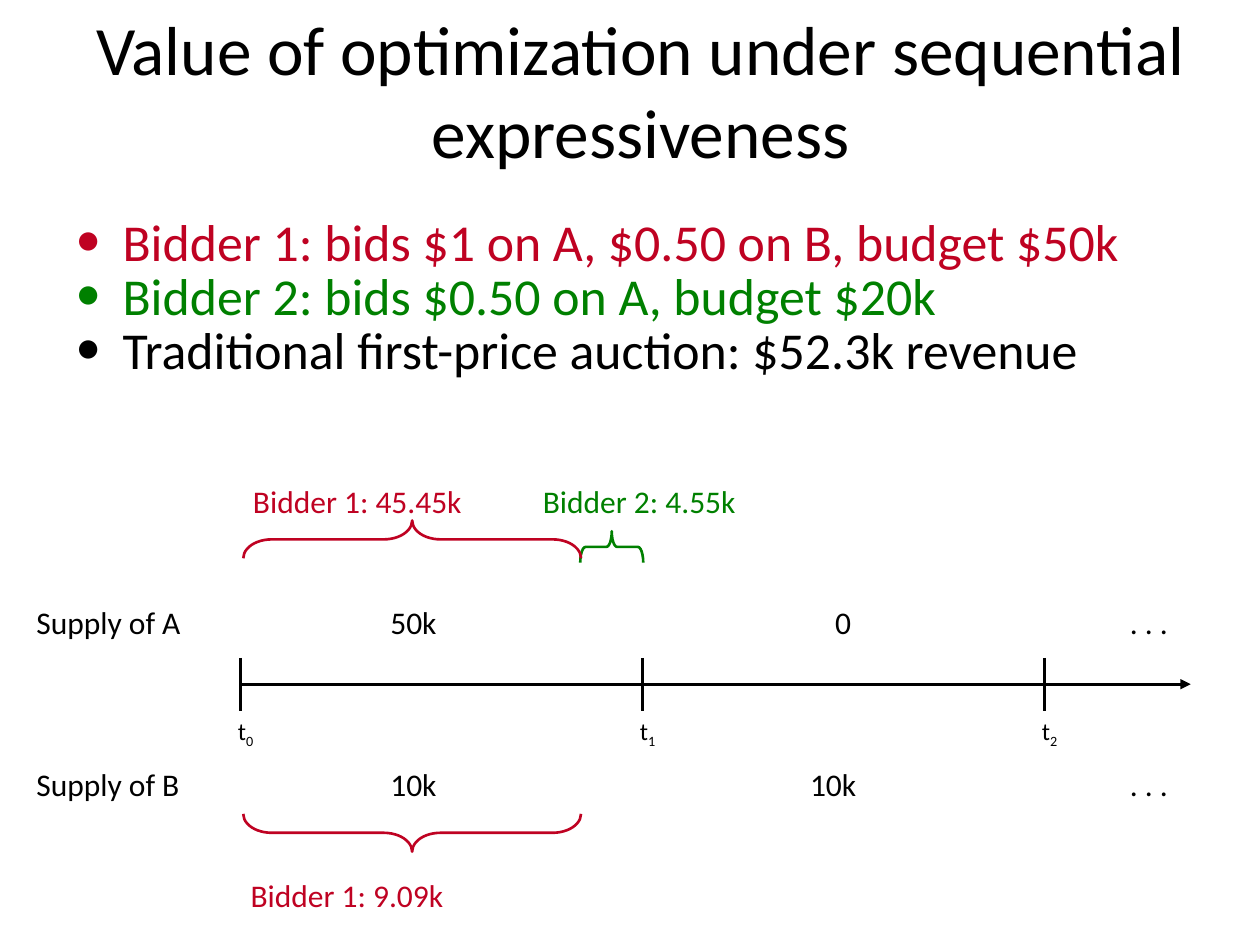
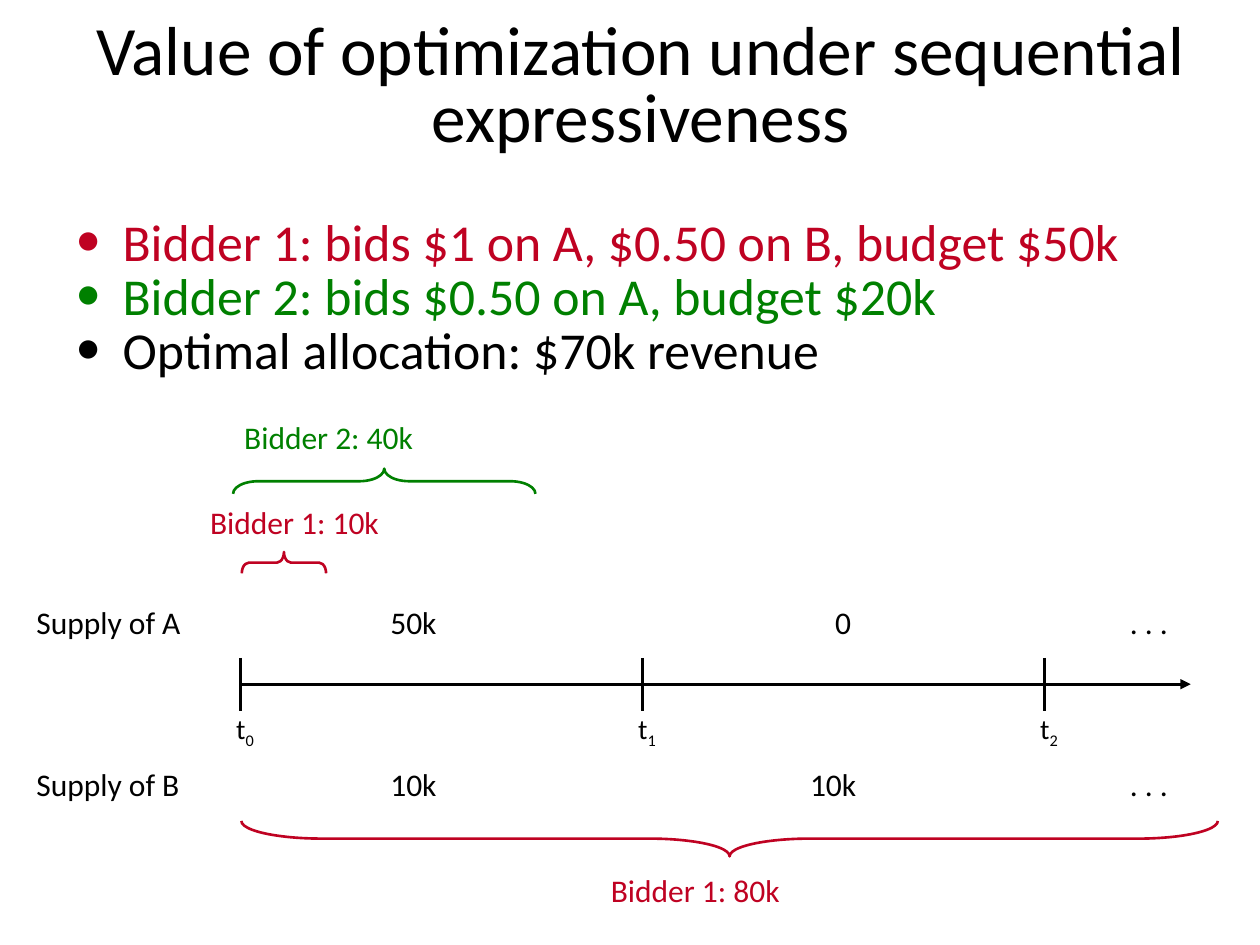
"""Build two slides on the value of bids spread over time."""
import pptx
import pptx.dml.color
import pptx.enum.shapes
import pptx.enum.text
import pptx.oxml.ns
import pptx.util
from lxml import etree

Pt = pptx.util.Pt
COLORS = {"ink": "000000", "red": "BF0222", "green": "008000", "page": "FFFFFF"}
FONT = "Calibri"
TITLE = "Value of optimization under sequential expressiveness"
BIDS = [
    ("Bidder 1: bids $1 on A, $0.50 on B, budget $50k", "red"),
    ("Bidder 2: bids $0.50 on A, budget $20k", "green"),
]
START, STEP, AXIS, TICK, END = 137.5, 229.7, 391, 15.1, 680.4
ROW_A, ROW_B = 341.3, 433.4


def tint(name):
    """Return the named colour."""
    return pptx.dml.color.RGBColor.from_string(COLORS[name])


def extend(parent, tag, **attrs):
    """Append a drawing element to a parent."""
    return etree.SubElement(parent, pptx.oxml.ns.qn(tag), attrs)


def text(slide, words, box, size=18, color="ink", sub="", wrap=False,
         center=False, middle=False, lines=None, gap=0, bullet=0):
    """Add a text box; words is a string or a list of (string, colour) pairs."""
    frame = slide.shapes.add_textbox(*map(Pt, box)).text_frame
    frame.word_wrap = wrap
    if not wrap:
        frame.auto_size = pptx.enum.text.MSO_AUTO_SIZE.SHAPE_TO_FIT_TEXT
    if middle:
        frame.vertical_anchor = pptx.enum.text.MSO_ANCHOR.MIDDLE
    pairs = [(words, color)] if isinstance(words, str) else words
    for index, (line, shade) in enumerate(pairs):
        para = frame.add_paragraph() if index else frame.paragraphs[0]
        if center:
            para.alignment = pptx.enum.text.PP_ALIGN.CENTER
        if lines:
            para.line_spacing = lines
        if index and gap:
            para.space_before = Pt(gap)
        if bullet:
            props = para._p.get_or_add_pPr()
            props.set("marL", str(Pt(bullet)))
            props.set("indent", str(-Pt(bullet)))
            extend(props, "a:buFont", typeface=FONT)
            extend(props, "a:buChar", char="•")
        for part in filter(None, (line, sub)):
            run = para.add_run()
            run.text = part
            run.font.name = FONT
            run.font.size = Pt(size)
            run.font.color.rgb = tint(shade)
        if sub:
            run._r.get_or_add_rPr().set("baseline", "-25000")


def rule(slide, left, top, right, low, arrow=False):
    """Draw a straight line, with an arrowhead if asked."""
    line = slide.shapes.add_connector(
        pptx.enum.shapes.MSO_CONNECTOR.STRAIGHT, *map(Pt, (left, top, right, low)))
    line.line.color.rgb = tint("ink")
    line.line.width = Pt(1.5)
    if arrow:
        extend(line.line._get_or_add_ln(), "a:tailEnd", type="triangle")
    extend(line._element.spPr, "a:effectLst")


def brace(slide, box, color, bend, down=False):
    """Draw a level brace that fills the box and points up or down."""
    left, top, span, depth = box
    shape = slide.shapes.add_shape(
        pptx.enum.shapes.MSO_SHAPE.RIGHT_BRACE,
        Pt(left + (span - depth) / 2), Pt(top + (depth - span) / 2),
        Pt(depth), Pt(span))
    shape.rotation = 90 if down else 270
    shape.adjustments[0] = bend
    shape.shadow.inherit = False
    shape.fill.background()
    shape.line.color.rgb = tint(color)
    shape.line.width = Pt(1.5)


def label(slide, words, left, top, color="ink", width=126):
    """Write a short label beside the time line."""
    text(slide, words, (left, top, width, 29), color=color)


def axis(slide, size, top, shift):
    """Draw the time line with its ticks and times."""
    rule(slide, START, AXIS, END, AXIS, arrow=True)
    for index in range(3):
        left = START + index * STEP
        rule(slide, left, AXIS - TICK, left, AXIS + TICK)
        text(slide, "t", (left - shift, top, 36, 25), size=size, sub=str(index))


def supply(slide):
    """Write both rows of supply."""
    rows = [("A", ROW_A, ("50k", 216), ("0", 470.2)),
            ("B", ROW_B, ("10k", 216), ("10k", 455.8))]
    for name, top, *cells in rows:
        label(slide, f"Supply of {name}", 13.7, top, width=114.5)
        for words, left in cells + [(". . .", 638.6)]:
            label(slide, words, left, top, width=41)


def base(deck, result, lines, size, top, shift):
    """Add a slide with all that the two slides share."""
    slide = deck.slides.add_slide(deck.slide_layouts[6])
    slide.background.fill.solid()
    slide.background.fill.fore_color.rgb = tint("page")
    text(slide, TITLE, (12.2, 5.8, 707.8, 90), size=39.6, wrap=True,
         center=True, middle=True, lines=lines)
    text(slide, BIDS + [(result, "ink")], (36, 126, 648, 102), size=29.6,
         wrap=True, lines=0.7, gap=5.92, bullet=27)
    axis(slide, size, top, shift)
    supply(slide)
    return slide


def main():
    """Build and save the deck."""
    deck = pptx.Presentation()
    deck.slide_width, deck.slide_height = Pt(720), Pt(540)

    slide = base(deck, "Traditional first-price auction: $52.3k revenue",
                 1.0, 14, 405.4, 8.6)
    brace(slide, (331.6, 303.5, 36, 18), "green", 0.17)
    label(slide, "Bidder 2: 4.55k", 303.1, 271.8, "green")
    label(slide, "Bidder 1: 45.45k", 137.5, 271.8, "red", 139.7)
    label(slide, "Bidder 1: 9.09k", 136.1, 496.8, "red")
    brace(slide, (139, 297.4, 193, 21.6), "red", 0.75)
    brace(slide, (139, 465.1, 193, 21.6), "red", 0.75, down=True)

    slide = base(deck, "Optimal allocation: $70k revenue", 0.8, 16, 403.2, 9.6)
    label(slide, "Bidder 1: 10k", 113, 283.7, "red", 112.3)
    brace(slide, (138.2, 315.4, 48.2, 12.2), "red", 0.33)
    label(slide, "Bidder 1: 80k", 342, 493.9, "red", 112.3)
    brace(slide, (137.9, 469.1, 558, 20.2), "red", 2.27, down=True)
    brace(slide, (133.2, 267.8, 172.8, 14.4), "green", 0.99)
    label(slide, "Bidder 2: 40k", 132.5, 235.4, "green", 112.3)
    deck.save("out.pptx")


if __name__ == "__main__":
    main()
